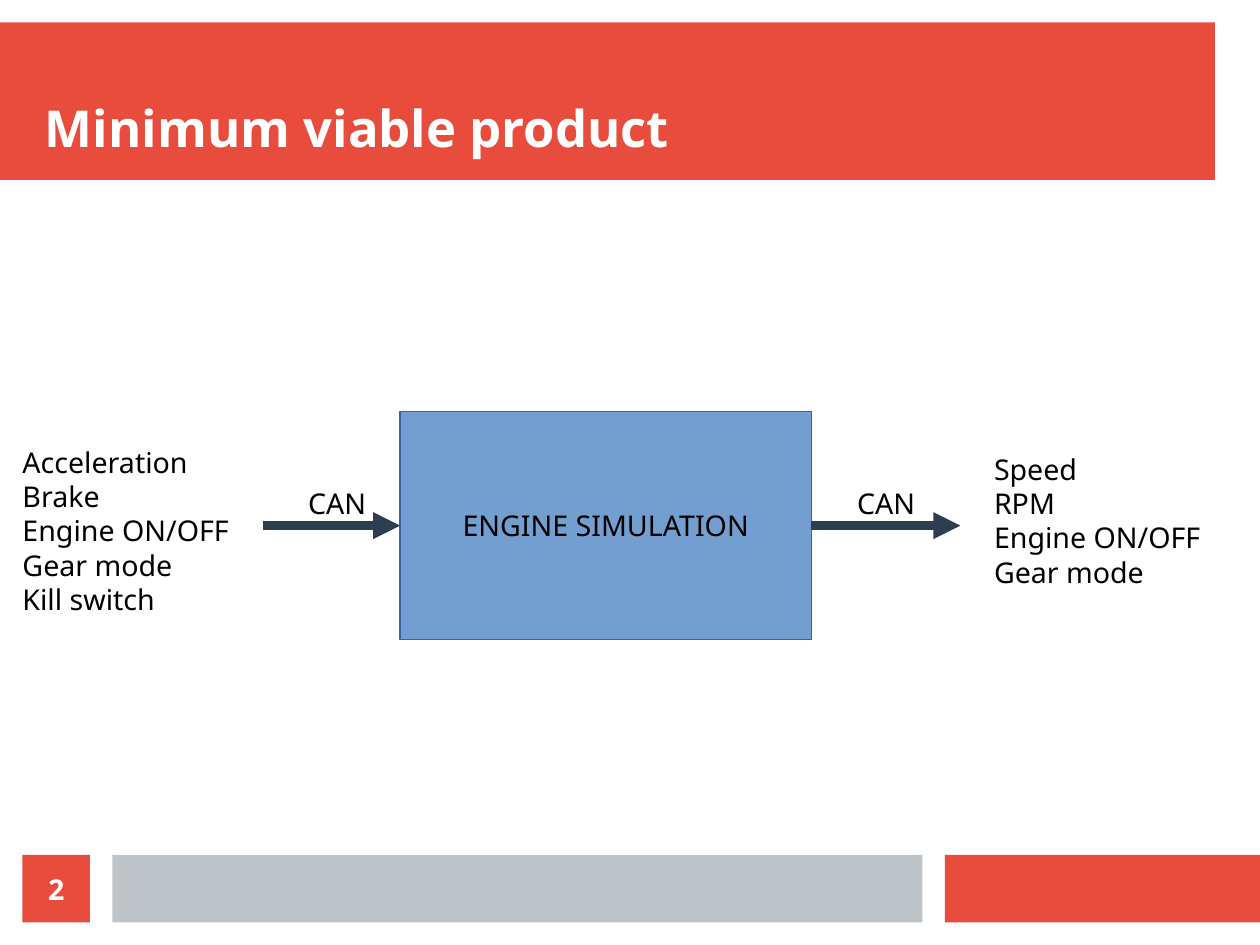
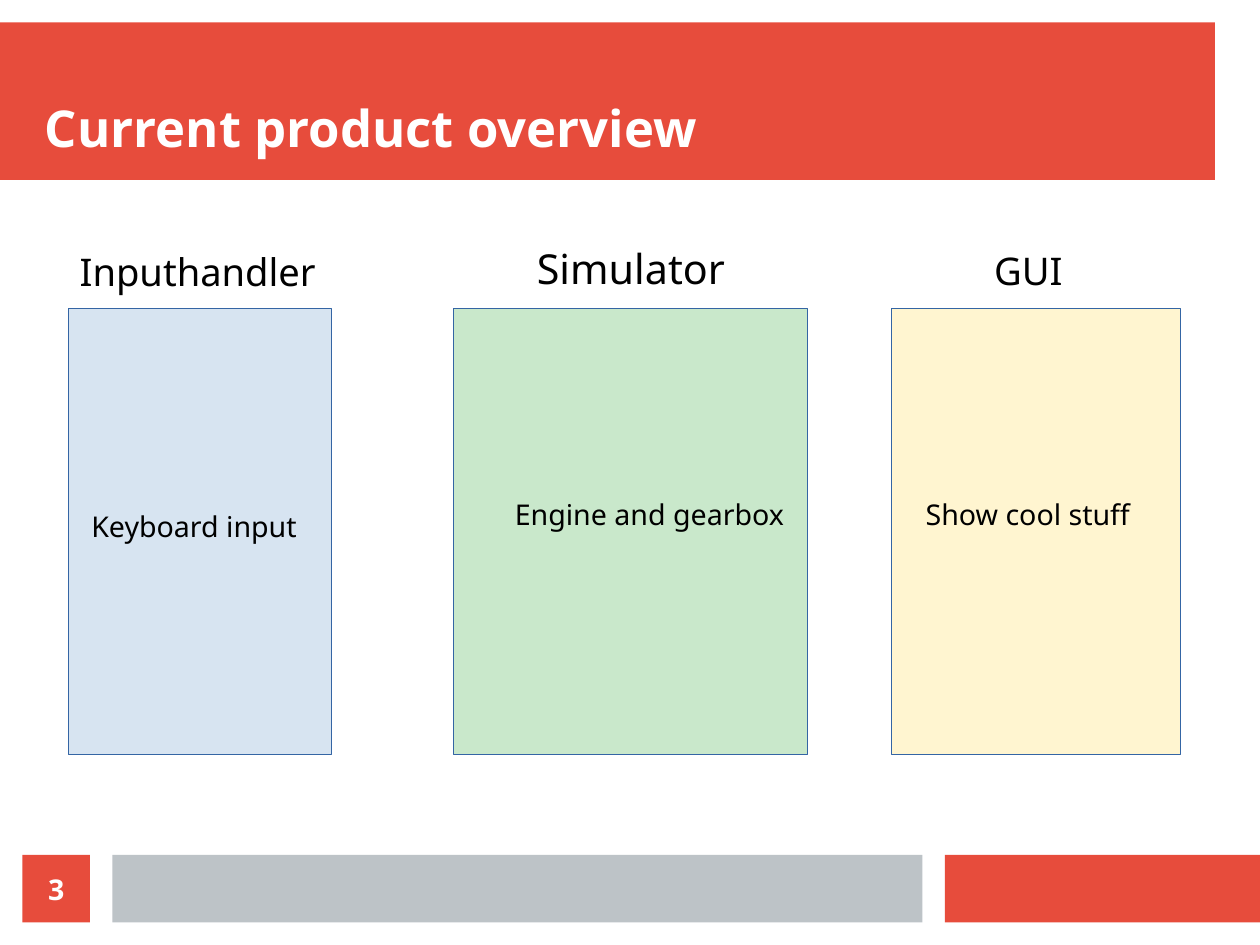
"""Build two slides on an engine simulation: its signals and its parts."""
from dataclasses import dataclass

import lxml.etree
import pptx
import pptx.dml.color
import pptx.enum.shapes
import pptx.enum.text
import pptx.oxml.ns
import pptx.util

Cm = pptx.util.Cm
Pt = pptx.util.Pt
Align = pptx.enum.text.PP_ALIGN
Anchor = pptx.enum.text.MSO_ANCHOR

FONT = "Noto Sans"
RED, GREY, WHITE, BLACK = "E74C3C", "BDC3C7", "FFFFFF", "000000"
BLUE, GREEN, YELLOW = "729FCF", "3FAF46", "FFDE59"
OUTLINE, ARROW = "3465A4", "2C3E50"
TINT = 28
FOOTER_TOP, FOOTER_HEIGHT = 19, 1.5
PART_TOP, PART_HEIGHT = 6.86, 9.91


@dataclass(frozen=True)
class Box:
    left: float
    top: float
    width: float
    height: float

    @property
    def middle(self) -> float:
        return self.top + self.height / 2

    def lengths(self) -> tuple:
        return Cm(self.left), Cm(self.top), Cm(self.width), Cm(self.height)


@dataclass(frozen=True)
class TextStyle:
    size: float = 18
    color: str = BLACK
    bold: bool = False
    align: Align = Align.LEFT
    anchor: Anchor = Anchor.TOP
    inset: tuple[float, float] = (0.25, 0.13)


@dataclass(frozen=True)
class Part:
    heading: str
    heading_box: Box
    heading_size: float
    left: float
    width: float
    color: str
    note: str
    note_box: Box


TITLE_STYLE = TextStyle(32, WHITE, True, anchor=Anchor.BOTTOM, inset=(0, 0))
NUMBER_STYLE = TextStyle(18, WHITE, True, Align.CENTER, Anchor.MIDDLE, (0, 0))
CENTRED = TextStyle(align=Align.CENTER, anchor=Anchor.MIDDLE)

BANDS = (
    (Box(0, 0.5, 27, 3.5), RED),
    (Box(21, FOOTER_TOP, 7, FOOTER_HEIGHT), RED),
    (Box(2.5, FOOTER_TOP, 18, FOOTER_HEIGHT), GREY),
)

ENGINE = Box(8.89, 9.14, 9.14, 5.08)
SIGNALS = (
    (("Acceleration", "Brake", "Engine ON/OFF", "Gear mode", "Kill switch"),
     Box(0.25, 9.75, 5.6, 4.57)),
    (("Speed", "RPM", "Engine ON/OFF", "Gear mode"), Box(21.84, 9.91, 5.6, 3.71)),
)
CAN_LEFTS = (6.6, 18.8)

PARTS = (
    Part("Inputhandler", Box(1.52, 5.38, 7.11, 1.4), 24, 1.52, 5.84, BLUE,
         "Keyboard input", Box(1.78, 11.18, 5.59, 1.12)),
    Part("Simulator", Box(11.68, 5.28, 5.84, 1.5), 26, 10.08, 7.87, GREEN,
         "Engine and gearbox", Box(11.19, 10.92, 7, 1.12)),
    Part("GUI", Box(21.84, 5.36, 5.84, 1.4), 24, 19.81, 6.43, YELLOW,
         "Show cool stuff", Box(20.32, 10.92, 6.35, 1.12)),
)


def rgb(color: str) -> pptx.dml.color.RGBColor:
    return pptx.dml.color.RGBColor.from_string(color)


def write(shape, lines: tuple[str, ...], style: TextStyle) -> None:
    frame = shape.text_frame
    frame.word_wrap = True
    frame.vertical_anchor = style.anchor
    frame.margin_left = frame.margin_right = Cm(style.inset[0])
    frame.margin_top = frame.margin_bottom = Cm(style.inset[1])
    for index, line in enumerate(lines):
        paragraph = frame.add_paragraph() if index else frame.paragraphs[0]
        paragraph.alignment = style.align
        run = paragraph.add_run()
        run.text = line
        run.font.name = FONT
        run.font.size = Pt(style.size)
        run.font.bold = style.bold
        run.font.color.rgb = rgb(style.color)


def add_text(slide, box: Box, *lines: str, style: TextStyle = TextStyle()) -> None:
    write(slide.shapes.add_textbox(*box.lengths()), lines, style)


def add_rectangle(slide, box: Box, fill: str, outline: str = "", opacity: int = 100):
    rectangle = pptx.enum.shapes.MSO_SHAPE.RECTANGLE
    shape = slide.shapes.add_shape(rectangle, *box.lengths())
    shape.shadow.inherit = False
    shape.fill.solid()
    shape.fill.fore_color.rgb = rgb(fill)
    if outline:
        shape.line.color.rgb = rgb(outline)
        shape.line.width = Pt(0)
    else:
        shape.line.fill.background()
    if opacity < 100:
        color = shape.fill._xPr.find(".//" + pptx.oxml.ns.qn("a:srgbClr"))
        alpha = lxml.etree.SubElement(color, pptx.oxml.ns.qn("a:alpha"))
        alpha.set("val", str(opacity * 1000))
    return shape


def add_arrow(slide, start: float, end: float, height: float):
    straight = pptx.enum.shapes.MSO_CONNECTOR.STRAIGHT
    arrow = slide.shapes.add_connector(
        straight, Cm(start), Cm(height), Cm(end), Cm(height))
    arrow.line.color.rgb = rgb(ARROW)
    arrow.line.width = Pt(5.67)
    line = arrow.line._get_or_add_ln()
    lxml.etree.SubElement(line, pptx.oxml.ns.qn("a:tailEnd")).set("type", "triangle")
    lxml.etree.SubElement(arrow._element.spPr, pptx.oxml.ns.qn("a:effectLst"))
    return arrow


def add_framed_slide(presentation, title: str, number: int):
    slide = presentation.slides.add_slide(presentation.slide_layouts[6])
    for box, color in BANDS:
        add_rectangle(slide, box, color)
    add_text(slide, Box(1, 1, 26, 2.5), title, style=TITLE_STYLE)
    number_box = Box(0.5, FOOTER_TOP, FOOTER_HEIGHT, FOOTER_HEIGHT)
    write(add_rectangle(slide, number_box, RED), (str(number),), NUMBER_STYLE)
    return slide


def draw_signals(slide) -> None:
    engine = add_rectangle(slide, ENGINE, BLUE, OUTLINE)
    write(engine, ("ENGINE SIMULATION",), CENTRED)
    incoming = add_arrow(slide, 5.84, ENGINE.left, ENGINE.middle)
    incoming.end_connect(engine, 1)
    outgoing = add_arrow(slide, ENGINE.left + ENGINE.width, 21.34, ENGINE.middle)
    outgoing.begin_connect(engine, 3)
    for lines, box in SIGNALS:
        add_text(slide, box, *lines)
    for left in CAN_LEFTS:
        add_text(slide, Box(left, 10.67, 2.54, 1.12), "CAN")


def draw_parts(slide) -> None:
    for part in PARTS:
        box = Box(part.left, PART_TOP, part.width, PART_HEIGHT)
        add_rectangle(slide, box, part.color, OUTLINE, TINT)
        heading_style = TextStyle(part.heading_size)
        add_text(slide, part.heading_box, part.heading, style=heading_style)
        add_text(slide, part.note_box, part.note)


def main() -> None:
    presentation = pptx.Presentation()
    presentation.slide_width = Cm(28)
    presentation.slide_height = Cm(21)
    draw_signals(add_framed_slide(presentation, "Minimum viable product", 2))
    draw_parts(add_framed_slide(presentation, "Current product overview", 3))
    presentation.save("out.pptx")


if __name__ == "__main__":
    main()
